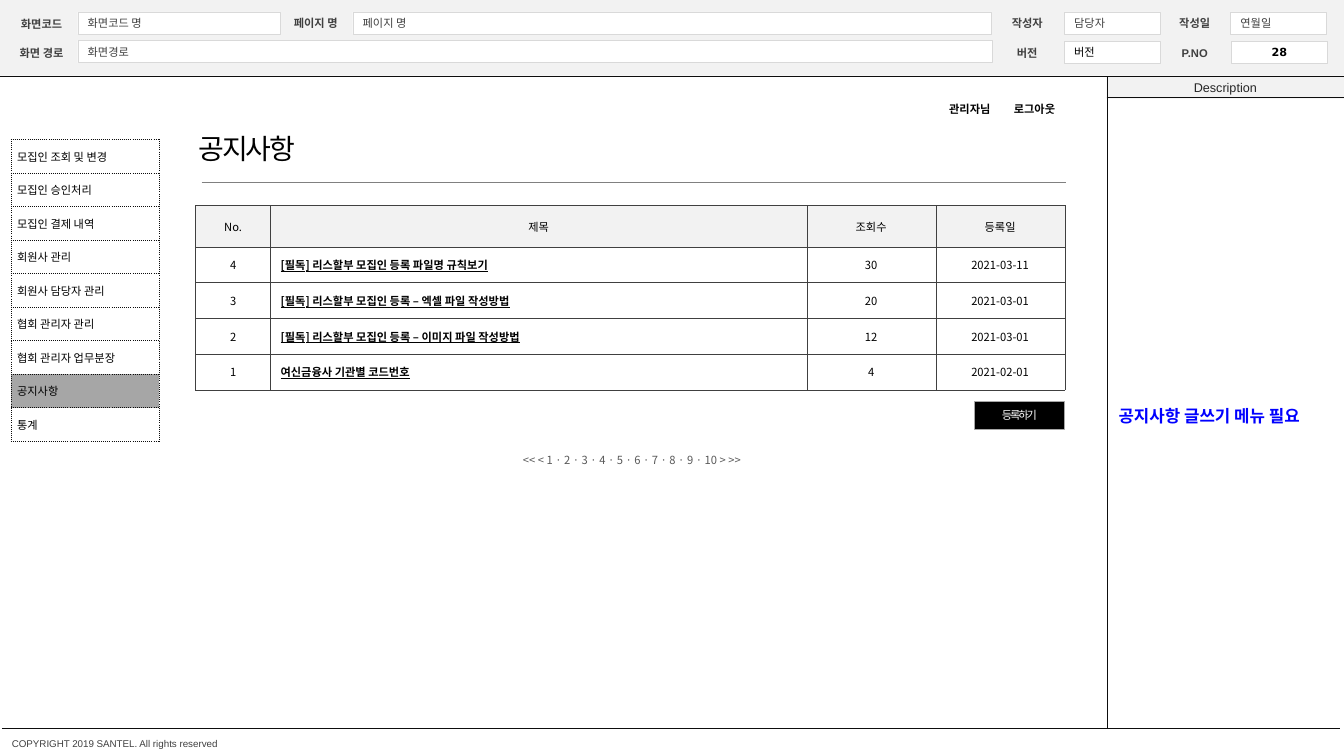
from dataclasses import dataclass

from lxml import etree
from pptx import Presentation, util as u
from pptx.dml.color import RGBColor
from pptx.enum import dml, shapes, text
from pptx.oxml.ns import qn


@dataclass(frozen=True)
class Theme:
    latin: str = "Arial"
    korean: str = "Noto Sans CJK KR"
    digits: str = "DejaVu Sans"
    white: str = "FFFFFF"
    black: str = "000000"
    panel: str = "F2F2F2"
    border: str = "D9D9D9"
    ink: str = "0D0D0D"
    heading: str = "262626"
    label: str = "404040"
    page: str = "595959"
    rule: str = "808080"
    selected: str = "A6A6A6"
    note: str = "0000FF"
    tiny: float = 7
    body: float = 8
    caption: float = 9
    remark: float = 12
    title: float = 20


THEME = Theme()
LEFT, CENTER = text.PP_ALIGN.LEFT, text.PP_ALIGN.CENTER
DOTTED = dml.MSO_LINE.ROUND_DOT


def write(frame, content, size=THEME.body, font=THEME.latin, color=THEME.black,
          bold=False, underline=False, align=LEFT, tracking=0, leading=None):
    paragraph = frame.paragraphs[0]
    paragraph.alignment = align
    if leading:
        paragraph.line_spacing = u.Pt(leading)
    run = paragraph.add_run()
    run.text = content
    run.font.name = font
    run.font.size = u.Pt(size)
    run.font.bold = bold
    run.font.underline = underline
    run.font.color.rgb = RGBColor.from_string(color)
    properties = run.font._element
    etree.SubElement(properties, qn("a:ea")).set("typeface", THEME.korean)
    if tracking:
        properties.set("spc", str(int(tracking * 100)))


class Screen:
    def __init__(self, presentation, theme):
        self.theme = theme
        self.slide = presentation.slides.add_slide(presentation.slide_layouts[6])

    def frame(self, shape, inset, wrap):
        frame = shape.text_frame
        frame.word_wrap = wrap
        frame.vertical_anchor = text.MSO_ANCHOR.MIDDLE
        frame.margin_left = frame.margin_right = u.Cm(inset)
        frame.margin_top = frame.margin_bottom = u.Cm(min(inset, 0.13))
        return frame

    def box(self, left, top, width, height, fill, line=None, content="",
            inset=0.25, **style):
        shape = self.slide.shapes.add_shape(
            shapes.MSO_SHAPE.RECTANGLE, u.Cm(left), u.Cm(top), u.Cm(width), u.Cm(height))
        shape.shadow.inherit = False
        shape.fill.solid()
        shape.fill.fore_color.rgb = RGBColor.from_string(fill)
        if line:
            shape.line.color.rgb = RGBColor.from_string(line)
            shape.line.width = u.Pt(0.25)
        else:
            shape.line.fill.background()
        if content:
            write(self.frame(shape, inset, True), content, **style)

    def label(self, left, top, width, height, content, inset=0.25, wrap=True, **style):
        shape = self.slide.shapes.add_textbox(
            u.Cm(left), u.Cm(top), u.Cm(width), u.Cm(height))
        write(self.frame(shape, inset, wrap), content, **style)

    def line(self, x1, y1, x2, y2, color, width=0.25, dash=None):
        connector = self.slide.shapes.add_connector(
            shapes.MSO_CONNECTOR.STRAIGHT, u.Cm(x1), u.Cm(y1), u.Cm(x2), u.Cm(y2))
        connector.line.color.rgb = RGBColor.from_string(color)
        connector.line.width = u.Pt(width)
        if dash:
            connector.line.dash_style = dash
        etree.SubElement(connector._element.spPr, qn("a:effectLst"))

    def table(self, left, top, columns, rows):
        table = self.slide.shapes.add_table(
            len(rows), len(columns), u.Cm(left), u.Cm(top),
            u.Cm(sum(columns)), u.Cm(sum(rows))).table
        table.first_row = table.horz_banding = False
        for column, width in zip(table.columns, columns):
            column.width = u.Cm(width)
        for row, height in zip(table.rows, rows):
            row.height = u.Cm(height)
        return table

    def cell(self, cell, content, fill, border, width, dash="solid",
             margins=(0.25, 0.13), **style):
        properties = cell._tc.get_or_add_tcPr()
        for side in ("lnL", "lnR", "lnT", "lnB"):
            edge = etree.SubElement(properties, qn(f"a:{side}"), w=str(u.Pt(width)))
            paint = etree.SubElement(edge, qn("a:solidFill"))
            etree.SubElement(paint, qn("a:srgbClr"), val=border)
            etree.SubElement(edge, qn("a:prstDash"), val=dash)
        cell.fill.solid()
        cell.fill.fore_color.rgb = RGBColor.from_string(fill)
        cell.vertical_anchor = text.MSO_ANCHOR.MIDDLE
        cell.margin_left = cell.margin_right = u.Cm(margins[0])
        cell.margin_top = cell.margin_bottom = u.Cm(margins[1])
        write(cell.text_frame, content, **style)


def add_header(screen):
    theme = screen.theme
    screen.box(0, 0, 33.87, 1.91, theme.panel)
    fields = [
        ("화면코드", 0.15, 0.43, "화면코드 명", 1.96, 0.3, 5.11),
        ("페이지 명", 7.06, 0.41, "페이지 명", 8.89, 0.3, 16.1),
        ("작성자", 24.99, 0.41, "담당자", 26.82, 0.3, 2.41),
        ("작성일", 29.21, 0.41, "연월일", 31.01, 0.3, 2.41),
        ("화면 경로", 0.15, 1.17, "화면경로", 1.96, 1.02, 23.04),
        ("버전", 24.99, 1.17, "버전", 26.82, 1.04, 2.41),
        ("P.NO", 29.21, 1.17, "28", 31.04, 1.04, 2.41),
    ]
    for name, name_left, name_top, value, left, top, width in fields:
        style = {"color": theme.black if name in ("버전", "P.NO") else theme.label}
        if name == "P.NO":
            style.update(font=theme.digits, bold=True, align=CENTER)
        screen.label(name_left, name_top, 1.8, 0.33, name, inset=0,
                     color=theme.label, bold=True, align=CENTER)
        screen.box(left, top, width, 0.56, theme.white, theme.border, value, **style)


def add_frame(screen):
    theme = screen.theme
    screen.box(27.89, 1.93, 5.98, 0.56, theme.panel, content="Description",
               size=theme.caption, color=theme.heading, align=CENTER)
    for ends in [(0, 1.92, 33.87, 1.92), (27.89, 2.46, 33.87, 2.46),
                 (27.89, 1.93, 27.89, 18.36), (0.05, 18.36, 33.76, 18.36)]:
        screen.line(*ends, theme.ink, dash=DOTTED)
    screen.label(0.3, 18.59, 9.27, 0.3, "COPYRIGHT 2019 SANTEL. All rights reserved",
                 inset=0, size=theme.tiny, color=theme.label)


def add_menu(screen):
    theme = screen.theme
    items = ["모집인 조회 및 변경", "모집인 승인처리", "모집인 결제 내역", "회원사 관리",
             "회원사 담당자 관리", "협회 관리자 관리", "협회 관리자 업무분장", "공지사항", "통계"]
    menu = screen.table(0.28, 3.51, [3.73], [7.61 / len(items)] * len(items))
    for row, item in enumerate(items):
        fill = theme.selected if item == "공지사항" else theme.white
        screen.cell(menu.cell(row, 0), item, fill, theme.ink, 0.5, "sysDot",
                    margins=(0.15, 0.05))


def add_notices(screen):
    theme = screen.theme
    notices = [
        ("No.", "제목", "조회수", "등록일"),
        ("4", "[필독] 리스할부 모집인 등록 파일명 규칙보기", "30", "2021-03-11"),
        ("3", "[필독] 리스할부 모집인 등록 – 엑셀 파일 작성방법", "20", "2021-03-01"),
        ("2", "[필독] 리스할부 모집인 등록 – 이미지 파일 작성방법", "12", "2021-03-01"),
        ("1", "여신금융사 기관별 코드번호", "4", "2021-02-01"),
    ]
    board = screen.table(4.93, 5.18, [1.89, 13.51, 3.25, 3.25], [1.04] + [0.9] * 4)
    for row, notice in enumerate(notices):
        for column, content in enumerate(notice):
            link = row > 0 and column == 1
            screen.cell(board.cell(row, column), content,
                        theme.white if row else theme.panel, theme.label, 0.25,
                        font=theme.korean, bold=link, underline=link,
                        align=LEFT if link else CENTER)


def add_content(screen):
    theme = screen.theme
    screen.label(4.75, 3.18, 7.65, 1.12, "공지사항", size=theme.title, tracking=-1.5)
    screen.line(5.08, 4.6, 26.87, 4.6, theme.rule, 0.75)
    add_notices(screen)
    screen.label(12.93, 11.2, 6.93, 0.69,
                 "<< < 1 · 2 · 3 · 4 · 5 · 6 · 7 · 8 · 9 · 10 > >>",
                 font=theme.korean, color=theme.page, leading=12)
    for left, content in [(23.67, "관리자님"), (25.3, "로그아웃")]:
        screen.label(left, 2.44, 1.83, 0.61, content, font=theme.korean, bold=True)
    screen.label(27.94, 10.11, 5.92, 0.76, "공지사항 글쓰기 메뉴 필요",
                 size=theme.remark, font=theme.korean, color=theme.note, bold=True)
    screen.box(24.56, 10.11, 2.26, 0.71, theme.black, theme.selected, "등록하기",
               inset=0, color=theme.white, align=CENTER, tracking=-1.5)


def main():
    presentation = Presentation()
    presentation.slide_width, presentation.slide_height = u.Cm(33.87), u.Cm(19.05)
    screen = Screen(presentation, THEME)
    for add_part in (add_header, add_frame, add_menu, add_content):
        add_part(screen)
    presentation.save("out.pptx")


if __name__ == "__main__":
    main()
